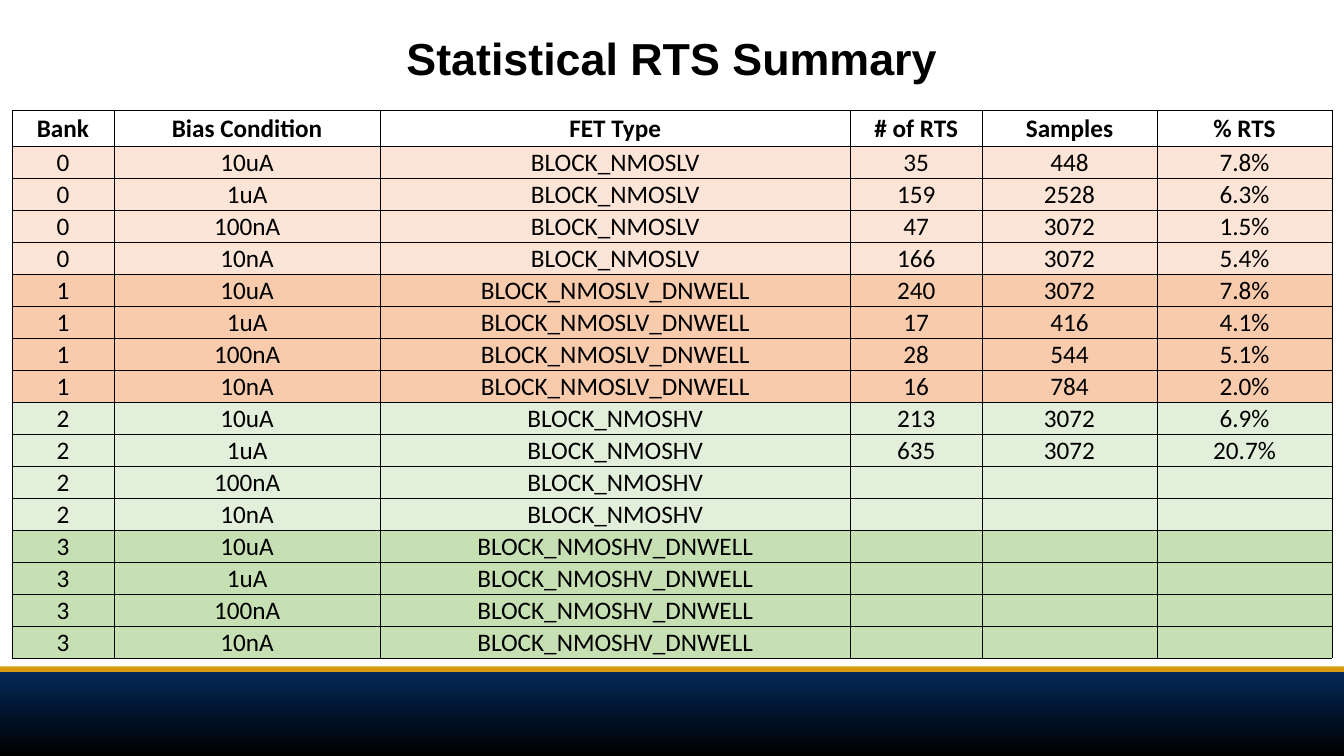
"""Build the statistical RTS summary slide."""
from dataclasses import dataclass

from lxml import etree
from pptx import Presentation
from pptx.dml.color import RGBColor
from pptx.enum.shapes import MSO_SHAPE
from pptx.enum.text import MSO_ANCHOR, MSO_AUTO_SIZE, PP_ALIGN
from pptx.oxml.ns import qn
from pptx.util import Pt

RECTANGLE = MSO_SHAPE.RECTANGLE
MIDDLE = MSO_ANCHOR.MIDDLE
CENTER = PP_ALIGN.CENTER
NO_AUTOFIT = MSO_AUTO_SIZE.NONE

SLIDE_WIDTH, SLIDE_HEIGHT = 960, 540
TITLE_ONLY_LAYOUT = 5
COLUMN_WIDTHS = (73, 190, 336, 94, 125, 125)
HEADER_HEIGHT, ROW_HEIGHT = 26, 22.85
HEADERS = ("Bank", "Bias Condition", "FET Type", "# of RTS", "Samples", "% RTS")
BIASES = ("10uA", "1uA", "100nA", "10nA")
BANKS = (
    ("BLOCK_NMOSLV", ((35, 448), (159, 2528), (47, 3072), (166, 3072))),
    ("BLOCK_NMOSLV_DNWELL", ((240, 3072), (17, 416), (28, 544), (16, 784))),
    ("BLOCK_NMOSHV", ((213, 3072), (635, 3072), None, None)),
    ("BLOCK_NMOSHV_DNWELL", (None, None, None, None)),
)


@dataclass(frozen=True)
class Theme:
    """Colours, fonts and type sizes of the slide."""
    ink: str = "000000"
    gold: str = "D89B0F"
    navy: str = "032858"
    black: str = "000000"
    banks: tuple = ("FCE4D6", "F8CBAD", "E2EFDA", "C6E0B4")
    title_font: str = "Arial"
    table_font: str = "Calibri"
    title_size: float = 32
    table_size: float = 18
    border_width: float = 0.5


def write_text(frame, text, *, font, size, color, bold=False, line_spacing=None):
    """Write one centred paragraph into a text frame."""
    paragraph = frame.paragraphs[0]
    paragraph.alignment = CENTER
    if line_spacing:
        paragraph.line_spacing = line_spacing
    run = paragraph.add_run()
    run.text = text
    run.font.name = font
    run.font.size = Pt(size)
    run.font.bold = bold
    run.font.color.rgb = RGBColor.from_string(color)


class SlideBuilder:
    """Hold the theme and the current slide, and draw its elements."""

    def __init__(self, slide, theme):
        """Keep the slide and its theme."""
        self.slide = slide
        self.theme = theme

    def title(self, text, left, top, width, height):
        """Place and format the title placeholder."""
        title = self.slide.shapes.title
        title.left, title.top = Pt(left), Pt(top)
        title.width, title.height = Pt(width), Pt(height)
        frame = title.text_frame
        frame.auto_size = NO_AUTOFIT
        frame.word_wrap = True
        frame.vertical_anchor = MIDDLE
        write_text(frame, text, font=self.theme.title_font, size=self.theme.title_size,
                   color=self.theme.ink, bold=True, line_spacing=0.9)

    def band(self, top, height, *colors):
        """Draw a full-width band in one colour or a downward gradient."""
        shape = self.slide.shapes.add_shape(
            RECTANGLE, Pt(0), Pt(top), Pt(SLIDE_WIDTH), Pt(height))
        shape.shadow.inherit = False
        shape.line.fill.background()
        if len(colors) == 1:
            shape.fill.solid()
            shape.fill.fore_color.rgb = RGBColor.from_string(colors[0])
            return
        shape.fill.gradient()
        shape.fill.gradient_angle = 270
        for position, (stop, color) in enumerate(zip(shape.fill.gradient_stops, colors)):
            stop.position = position
            stop.color.rgb = RGBColor.from_string(color)

    def table(self, rows, fills, left, top):
        """Draw the bordered table, with one fill for each row."""
        heights = [HEADER_HEIGHT] + [ROW_HEIGHT] * (len(rows) - 1)
        table = self.slide.shapes.add_table(
            len(rows), len(COLUMN_WIDTHS), Pt(left), Pt(top),
            Pt(sum(COLUMN_WIDTHS)), Pt(sum(heights))).table
        table.first_row = table.horz_banding = False
        for column, width in zip(table.columns, COLUMN_WIDTHS):
            column.width = Pt(width)
        for index, (row, values, fill) in enumerate(zip(table.rows, rows, fills)):
            row.height = Pt(heights[index])
            for cell, text in zip(row.cells, values):
                self.cell(cell, text, fill, bold=index == 0)

    def cell(self, cell, text, fill, bold):
        """Format one table cell and write its text."""
        cell.vertical_anchor = MIDDLE
        cell.margin_left = cell.margin_right = cell.margin_top = Pt(0.5)
        cell.margin_bottom = Pt(0)
        self.borders(cell)
        if fill:
            cell.fill.solid()
            cell.fill.fore_color.rgb = RGBColor.from_string(fill)
        else:
            cell.fill.background()
        if text:
            write_text(cell.text_frame, text, font=self.theme.table_font,
                       size=self.theme.table_size, color=self.theme.ink, bold=bold)

    def borders(self, cell):
        """Give a cell a thin line on all four sides."""
        properties = cell._tc.get_or_add_tcPr()
        for side in ("a:lnL", "a:lnR", "a:lnT", "a:lnB"):
            line = etree.SubElement(properties, qn(side), w=str(Pt(self.theme.border_width)))
            solid = etree.SubElement(line, qn("a:solidFill"))
            etree.SubElement(solid, qn("a:srgbClr"), val=self.theme.ink)


def summary_rows():
    """Return the header and one row for each bank and bias."""
    rows = [HEADERS]
    for bank, (fet_type, results) in enumerate(BANKS):
        for bias, result in zip(BIASES, results):
            values = ("", "", "")
            if result:
                count, samples = result
                values = (str(count), str(samples), f"{count / samples:.1%}")
            rows.append((str(bank), bias, fet_type, *values))
    return rows


def main():
    """Build and save the presentation."""
    presentation = Presentation()
    presentation.slide_width, presentation.slide_height = Pt(SLIDE_WIDTH), Pt(SLIDE_HEIGHT)
    slide = presentation.slides.add_slide(presentation.slide_layouts[TITLE_ONLY_LAYOUT])
    theme = Theme()
    builder = SlideBuilder(slide, theme)
    builder.band(476, 6, theme.gold)
    builder.band(480, 60, theme.navy, theme.black)
    fills = [None] + [color for color in theme.banks for bias in BIASES]
    builder.table(summary_rows(), fills, 8.5, 78.5)
    builder.title("Statistical RTS Summary", 66, 8.5, 828, 70)
    presentation.save("out.pptx")


if __name__ == "__main__":
    main()
